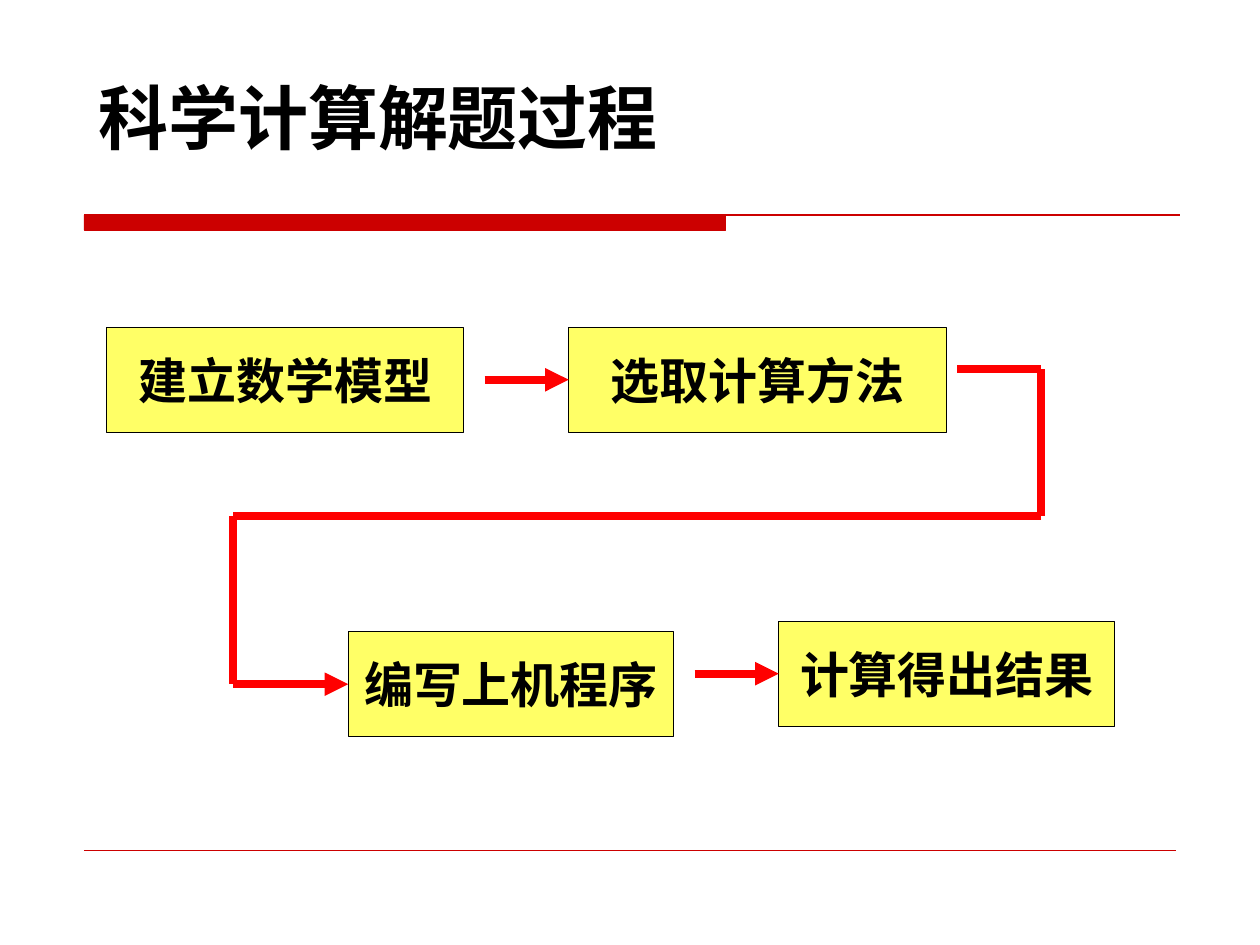
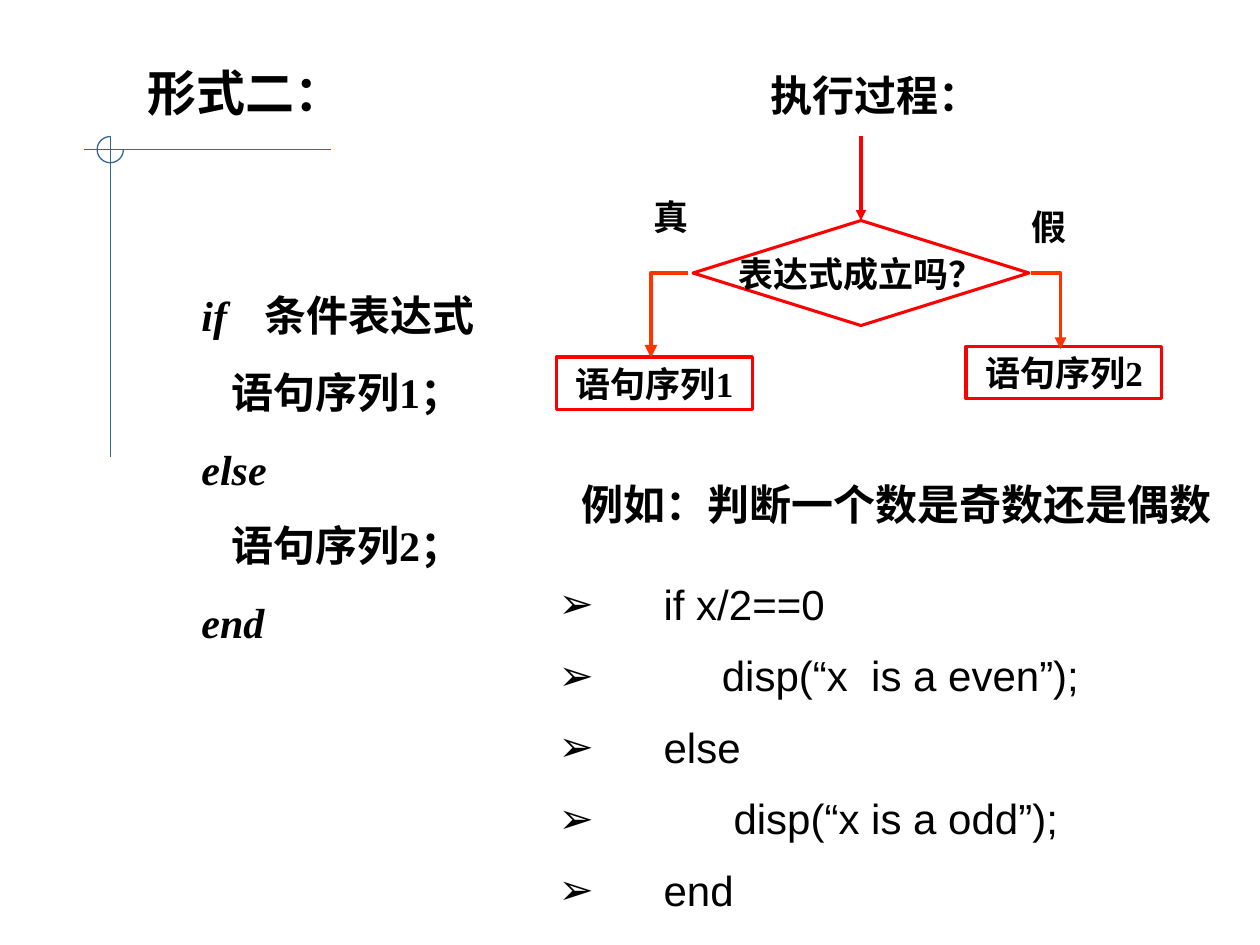
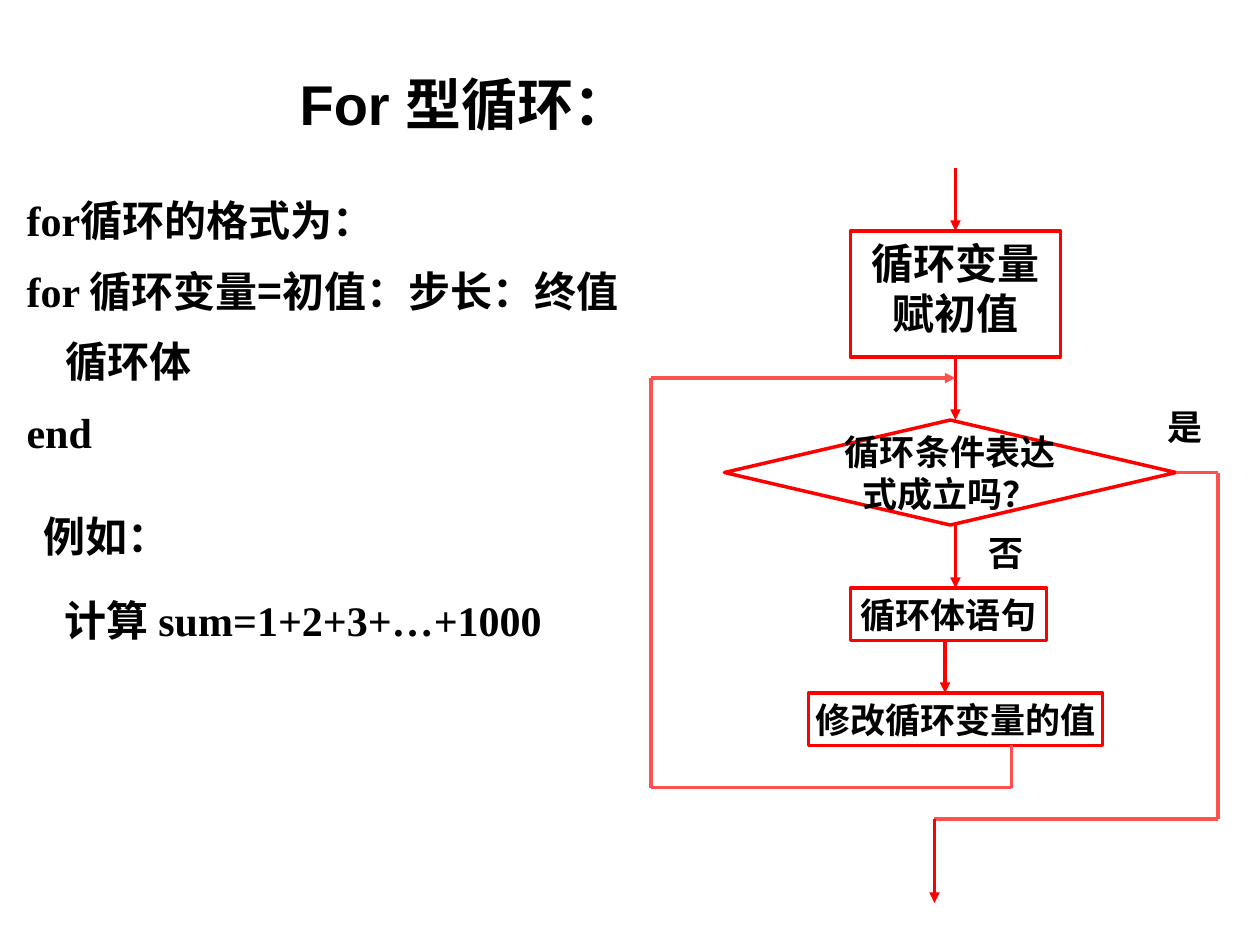
from itertools import pairwise

from lxml import etree
from pptx import Presentation
from pptx.dml.color import RGBColor
from pptx.enum.shapes import MSO_CONNECTOR, MSO_SHAPE
from pptx.enum.text import MSO_ANCHOR, MSO_AUTO_SIZE, PP_ALIGN
from pptx.oxml.ns import qn
from pptx.util import Pt

RECT, DIAMOND, ARC = MSO_SHAPE.RECTANGLE, MSO_SHAPE.DIAMOND, MSO_SHAPE.ARC
STRAIGHT, ELBOW = MSO_CONNECTOR.STRAIGHT, MSO_CONNECTOR.ELBOW
LEFT, CENTER = PP_ALIGN.LEFT, PP_ALIGN.CENTER
TOP, MIDDLE = MSO_ANCHOR.TOP, MSO_ANCHOR.MIDDLE
NO_FIT = MSO_AUTO_SIZE.NONE
SIDE_TOP, SIDE_LEFT, SIDE_BOTTOM, SIDE_RIGHT = range(4)
TITLE_AND_BODY, TITLE_ONLY = 1, 5

COLORS = {
    "text": "000000",
    "band": "CC0000",
    "step": "FFFF66",
    "flow": "FF0000",
    "branch": "FF3300",
    "loop": "FF5050",
    "corner": "336699",
}
SERIF, SANS, TITLE_FONT, CJK = "Times New Roman", "Arial", "Cabin", "Noto Sans CJK SC"


def color(name):
    return RGBColor.from_string(COLORS[name])


def write(sp, paragraphs, size=24, font=SERIF, bold=True, align=LEFT, anchor=TOP,
          wrap=False, before=0, spacing=1.0, indents=None, bullet=None, hang=0, tab=None):
    """Fill sp with paragraphs; each is a string or a list of (text, font, italic)."""
    tf = sp.text_frame
    tf.auto_size, tf.word_wrap, tf.vertical_anchor = NO_FIT, wrap, anchor
    for i, runs in enumerate(paragraphs):
        p = tf.paragraphs[0] if i == 0 else tf.add_paragraph()
        p.alignment = align
        p.line_spacing = spacing
        p.space_before = Pt(before if i else 0)
        pPr = p._p.get_or_add_pPr()
        pPr.set("marL", str(Pt(indents[i] if indents else hang)))
        pPr.set("indent", str(Pt(-hang)))
        if bullet:
            etree.SubElement(pPr, qn("a:buChar"), char=bullet)
        else:
            etree.SubElement(pPr, qn("a:buNone"))
        if tab:
            tabs = etree.SubElement(pPr, qn("a:tabLst"))
            etree.SubElement(tabs, qn("a:tab"), pos=str(Pt(tab)), algn="l")
        for text, face, italic in [(runs, font, False)] if isinstance(runs, str) else runs:
            r = p.add_run()
            r.text = text
            f = r.font
            f.size, f.name, f.bold, f.italic = Pt(size), face, bold, italic
            f.color.rgb = color("text")
            etree.SubElement(r._r.get_or_add_rPr(), qn("a:ea"), typeface=CJK)


class Deck:
    """Holds the presentation, its style and the current slide."""

    def __init__(self):
        self.prs = Presentation()
        self.prs.slide_width, self.prs.slide_height = Pt(720), Pt(540)

    def new_slide(self, layout, title, box, **fmt):
        self.s = self.prs.slides.add_slide(self.prs.slide_layouts[layout])
        self.place(self.s.shapes.title, box)
        write(self.s.shapes.title, [title], wrap=True, **fmt)

    def place(self, sp, box):
        sp.left, sp.top, sp.width, sp.height = map(Pt, box)

    def body(self, box, paragraphs, **fmt):
        sp = self.s.placeholders[1]
        self.place(sp, box)
        write(sp, paragraphs, wrap=True, **fmt)

    def text(self, box, *paragraphs, **fmt):
        write(self.s.shapes.add_textbox(*map(Pt, box)), paragraphs, **fmt)

    def shape(self, kind, box, *paragraphs, fill=None, line="flow", width=2.0, **fmt):
        sp = self.s.shapes.add_shape(kind, *map(Pt, box))
        sp.shadow.inherit = False
        if fill:
            sp.fill.solid()
            sp.fill.fore_color.rgb = color(fill)
        else:
            sp.fill.background()
        sp.line.color.rgb = color(line)
        sp.line.width = Pt(width)
        if paragraphs:
            write(sp, paragraphs, **{"align": CENTER, "anchor": MIDDLE, "size": 20, **fmt})
        return sp

    def line(self, start, end, line="flow", width=2.0, arrow=False, kind=STRAIGHT):
        c = self.s.shapes.add_connector(kind, *map(Pt, (*start, *end)))
        c.line.color.rgb = color(line)
        c.line.width = Pt(width)
        spPr = c._element.spPr
        if kind == ELBOW:
            spPr.find(qn("a:prstGeom")).set("prst", "bentConnector2")
        if arrow:
            etree.SubElement(c.line._get_or_add_ln(), qn("a:tailEnd"), type="triangle")
        etree.SubElement(spPr, qn("a:effectLst"))
        return c

    def route(self, *points, arrow=True, begin=None, end=None, **fmt):
        """Join points by straight lines; begin and end are (shape, side) to attach to."""
        legs = list(pairwise(points))
        lines = [self.line(a, b, arrow=arrow and b is points[-1], **fmt) for a, b in legs]
        if begin:
            lines[0].begin_connect(*begin)
        if end:
            lines[-1].end_connect(*end)


def solving_process(d):
    d.new_slide(TITLE_ONLY, "科学计算解题过程", (49, 39, 360, 55), size=40)
    d.shape(RECT, (48, 123, 366.5, 8.5), fill="band", line="band", width=0.25)
    d.line((48, 123), (674.5, 123), "band", 1)
    d.line((48, 486), (672, 486), "band", 0.25)

    steps = [
        ("建立数学模型", (61, 187, 204, 60)),
        ("选取计算方法", (325, 187, 216, 60)),
        ("编写上机程序", (199, 361, 186, 60)),
        ("计算得出结果", (445, 355, 192, 60)),
    ]
    model, method, program, result = [
        d.shape(RECT, box, name, fill="step", line="text", width=0.75, size=28)
        for name, box in steps
    ]
    d.route((277, 217), (325, 217), width=4.5, end=(method, SIDE_LEFT))
    d.route((547, 211), (595, 211), (595, 295), (133, 295), (133, 391), (199, 391),
            width=4.5, end=(program, SIDE_LEFT))
    d.route((397, 385), (445, 385), width=4.5, end=(result, SIDE_LEFT))


def if_else(d):
    d.new_slide(TITLE_AND_BODY, "形式二：", (77, 32, 140, 41), size=28, font=TITLE_FONT)
    d.line((189, 85.5), (48, 85.5), "corner", 0.75)
    d.line((63, 78), (63, 261), "corner", 0.75)
    arc = d.shape(ARC, (55.5, 78, 15, 15), line="corner", width=0.75)
    arc.adjustments[0], arc.adjustments[1] = 0, 162

    branches = [[("语句序列", CJK, False), (n, SERIF, False), ("；", CJK, False)] for n in "12"]
    d.text((108, 162, 198, 212),
           [("if\t", SERIF, True), ("条件表达式", CJK, False)],
           branches[0],
           [("else", SERIF, True)],
           branches[1],
           [("end", SERIF, True)],
           wrap=True, before=15, indents=(0, 17, 0, 17, 0), tab=41)

    d.text((433, 36, 134, 36), "执行过程：", font=TITLE_FONT)
    test = d.shape(DIAMOND, (396, 126, 192, 60), "表达式成立吗？", width=1.75)
    d.shape(RECT, (318, 204, 112, 30), "语句序列1", width=1.75)
    d.shape(RECT, (552, 198, 112, 30), "语句序列2", width=1.75)
    d.route((492, 78), (492, 126), width=1.75, end=(test, SIDE_TOP))
    d.line((393, 156), (372, 204.5), "branch", 2.5, arrow=True, kind=ELBOW)
    d.line((589, 156), (606, 199.5), "branch", 2.25, arrow=True, kind=ELBOW)
    d.text((366.5, 108, 35, 32), "真", size=20)
    d.text((582.5, 114, 35, 32), "假", size=20)

    d.text((325, 270, 374, 36), "例如：判断一个数是奇数还是偶数")
    code = [
        "if x/2==0",
        "     disp(“x  is a even”);",
        "else",
        "      disp(“x is a odd”);",
        "end",
    ]
    d.body((312, 330, 360, 197), code, font=SANS, bold=False,
           before=15, spacing=0.9, bullet="➢", hang=60)


def for_loop(d):
    d.new_slide(TITLE_AND_BODY, "For 型循环：", (164, 36, 225, 46), size=32, font=SANS)
    syntax = [
        [("for", SERIF, False), ("循环的格式为：", CJK, False)],
        [("for ", SERIF, False), ("循环变量=初值：步长：终值", CJK, False)],
        "循环体",
        "end",
    ]
    d.body((8, 96, 400, 168), syntax, spacing=1.4, indents=(0, 0, 22, 0))
    d.text((18, 288, 86, 36), "例如：", font=CJK)
    d.text((30, 336, 294, 36),
           [("计算 ", CJK, False), ("sum=1+2+3+…+1000", SERIF, False)], wrap=True)

    start = d.shape(RECT, (486, 132, 120, 72), "循环变量", "赋初值", size=24, anchor=TOP)
    test = d.shape(DIAMOND, (414, 240, 258, 60), "循环条件表达", "式成立吗？")
    d.shape(RECT, (486, 336, 112, 30), "循环体语句")
    d.shape(RECT, (462, 396, 168, 30), "修改循环变量的值")

    d.route((546, 96), (546, 132), end=(start, SIDE_TOP))
    d.route((546, 204), (546, 240), begin=(start, SIDE_BOTTOM))
    d.route((546, 300), (546, 336))
    d.route((540, 366), (540, 396))
    d.route((578, 426), (578, 450), (372, 450), (372, 216), (546, 216), line="loop")
    d.route((672, 270), (696, 270), (696, 468), (534, 468),
            line="loop", arrow=False, begin=(test, SIDE_RIGHT))
    d.route((534, 468), (534, 516))
    d.text((558, 300, 35, 32), "否", size=20)
    d.text((660, 228, 35, 32), "是", size=20)


def main():
    d = Deck()
    solving_process(d)
    if_else(d)
    for_loop(d)
    d.prs.save("out.pptx")


if __name__ == "__main__":
    main()
